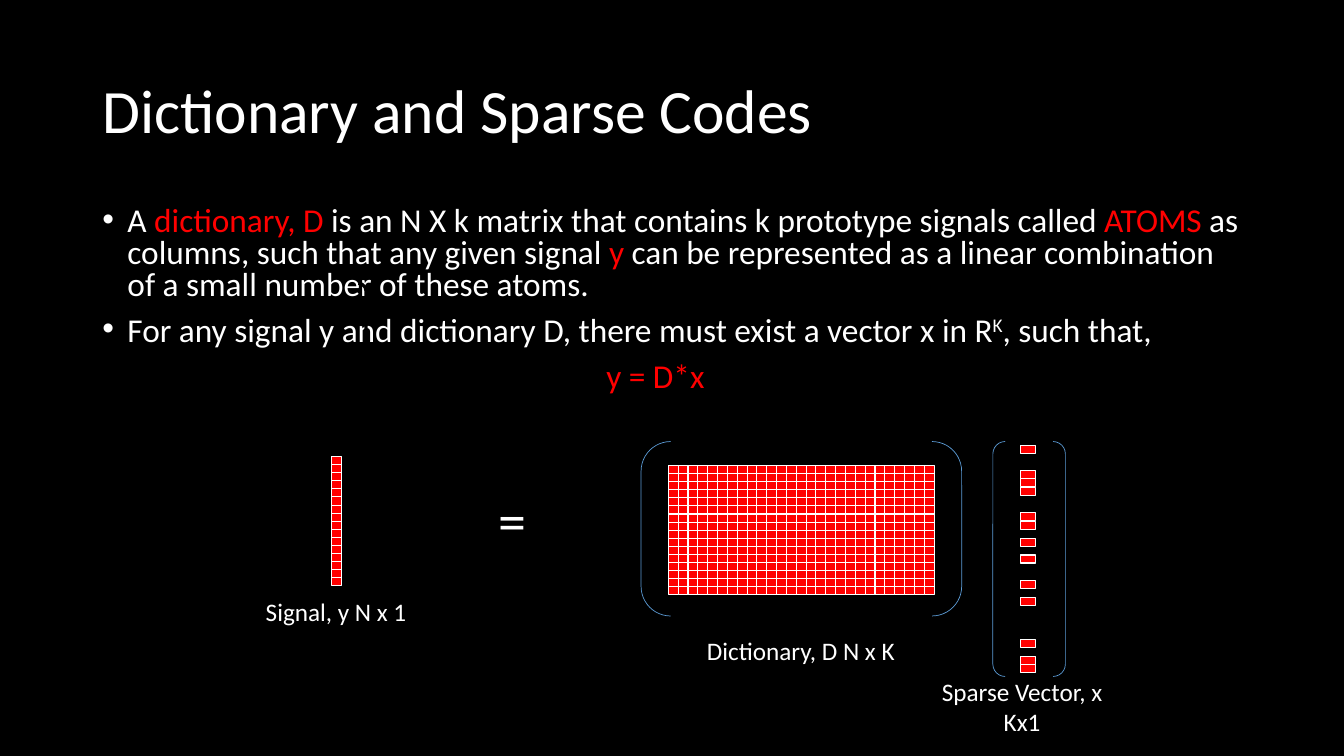
from lxml import etree
from pptx import Presentation
from pptx.dml.color import RGBColor
from pptx.enum.shapes import MSO_CONNECTOR, MSO_SHAPE
from pptx.enum.text import MSO_ANCHOR, MSO_AUTO_SIZE, PP_ALIGN
from pptx.oxml.ns import qn
from pptx.util import Pt

STRAIGHT = MSO_CONNECTOR.STRAIGHT
RECTANGLE, BRACKETS = MSO_SHAPE.RECTANGLE, MSO_SHAPE.DOUBLE_BRACKET
TOP, MIDDLE = MSO_ANCHOR.TOP, MSO_ANCHOR.MIDDLE
LEFT, CENTER = PP_ALIGN.LEFT, PP_ALIGN.CENTER
GROW, FIXED = MSO_AUTO_SIZE.SHAPE_TO_FIT_TEXT, MSO_AUTO_SIZE.NONE

COLORS = {"black": "000000", "white": "FFFFFF", "red": "FF0000", "blue": "5B9BD5"}
FONT = "Calibri"

SIGNAL_LENGTH = 16
ATOM_COUNT = 27
CELL_WIDTH, CELL_HEIGHT = 7.03, 5.76
SPARSE_WIDTH, SPARSE_PITCH = 10.8, 6.04
NONZERO_ROWS = (0, 3, 4, 5, 8, 9, 11, 13, 16, 18, 23, 25, 26)

# Each paragraph: left margin, bulleted, runs of (text, color, raised)
BODY = [
    (18, True, [
        ("A ", "white", False),
        ("dictionary, D", "red", False),
        (" is an N X k matrix that contains k prototype signals called ", "white", False),
        ("ATOMS", "red", False),
        (" as columns, such that any given signal ", "white", False),
        ("y", "red", False),
        (" can be represented as a linear combination of a small number of these atoms.",
         "white", False),
    ]),
    (18, True, [
        ("For any signal y and dictionary D, there must exist a vector x in R", "white", False),
        ("K", "white", True),
        (", such that,", "white", False),
    ]),
    (360, False, [("y = D*x", "red", False)]),
]


def rgb(name):
    return RGBColor.from_string(COLORS[name])


def set_indent(para, margin, bulleted):
    props = para._p.get_or_add_pPr()
    props.set("marL", str(Pt(margin)))
    props.set("indent", str(Pt(-margin if bulleted else 0)))
    if bulleted:
        etree.SubElement(props, qn("a:buFont")).set("typeface", "Arial")
        etree.SubElement(props, qn("a:buChar")).set("char", "•")


def add_text(shapes, content, left, top, width, height, size,
             align=LEFT, anchor=TOP, line_spacing=None, space_before=0, fit=GROW):
    """Add a text box; content is a string or a list of paragraphs like BODY."""
    box = shapes.add_textbox(Pt(left), Pt(top), Pt(width), Pt(height))
    frame = box.text_frame
    frame.word_wrap = True
    frame.auto_size = fit
    frame.vertical_anchor = anchor
    if isinstance(content, str):
        content = [(0, False, [(content, "white", False)])]
    for index, (margin, bulleted, spans) in enumerate(content):
        para = frame.add_paragraph() if index else frame.paragraphs[0]
        para.alignment = align
        para.space_before = Pt(space_before)
        if line_spacing:
            para.line_spacing = line_spacing
        set_indent(para, margin, bulleted)
        for text, color, raised in spans:
            span = para.add_run()
            span.text = text
            span.font.name = FONT
            span.font.size = Pt(size)
            span.font.color.rgb = rgb(color)
            if raised:
                span._r.get_or_add_rPr().set("baseline", "30000")


def add_cell(shapes, left, top, width, height):
    cell = shapes.add_shape(RECTANGLE, Pt(left), Pt(top), Pt(width), Pt(height))
    cell.shadow.inherit = False
    cell.fill.solid()
    cell.fill.fore_color.rgb = rgb("red")
    cell.line.color.rgb = rgb("white")
    cell.line.width = Pt(0.75)


def add_row_line(shapes, left, right, y):
    line = shapes.add_connector(STRAIGHT, Pt(left), Pt(y), Pt(right), Pt(y))
    line.line.color.rgb = rgb("white")
    line.line.width = Pt(0.75)
    etree.SubElement(line._element.spPr, qn("a:effectLst"))


def add_matrix(shapes, left, top, columns):
    """Draw red columns ruled into SIGNAL_LENGTH rows."""
    for column in range(columns):
        add_cell(shapes, left + column * CELL_WIDTH, top,
                 CELL_WIDTH, SIGNAL_LENGTH * CELL_HEIGHT)
    for row in range(1, SIGNAL_LENGTH):
        add_row_line(shapes, left, left + columns * CELL_WIDTH, top + row * CELL_HEIGHT)


def add_sparse_vector(shapes, left, top):
    for row in NONZERO_ROWS:
        add_cell(shapes, left, top + row * SPARSE_PITCH, SPARSE_WIDTH, CELL_HEIGHT)


def add_brackets(shapes, left, top, width, height, color="blue", weight=0.5, curve=0.17):
    brackets = shapes.add_shape(BRACKETS, Pt(left), Pt(top), Pt(width), Pt(height))
    brackets.shadow.inherit = False
    brackets.adjustments[0] = curve
    brackets.fill.background()
    brackets.line.color.rgb = rgb(color)
    brackets.line.width = Pt(weight)


def main():
    deck = Presentation()
    deck.slide_width, deck.slide_height = Pt(960), Pt(540)
    page = deck.slides.add_slide(deck.slide_layouts[6])
    page.background.fill.solid()
    page.background.fill.fore_color.rgb = rgb("black")

    add_text(page.shapes, "Dictionary and Sparse Codes", 66, 28.8, 828, 104.4, 44,
             anchor=MIDDLE, line_spacing=0.9, fit=FIXED)
    add_text(page.shapes, BODY, 66, 144, 828, 143.3, 23.8,
             line_spacing=0.8, space_before=10, fit=FIXED)
    add_brackets(page.shapes, 61.2, 202.3, 200.2, 107.3, "black", 2.25, 0.05)

    equation = page.shapes.add_group_shape().shapes
    add_matrix(equation, 477.4, 332.6, ATOM_COUNT)
    add_brackets(equation, 457.9, 315.4, 229, 124.6)
    add_sparse_vector(equation, 729, 317.9)
    add_brackets(equation, 709.2, 315.4, 51.8, 167.8)
    add_matrix(equation, 236.9, 326.2, 1)
    for label, left, top, width, height, size in (
        ("Dictionary, D N x K", 477.4, 450, 189.4, 29.5, 18),
        ("Sparse Vector, x Kx1", 651.6, 479.5, 157, 51.1, 18),
        ("Signal, y N x 1", 145.4, 422.6, 189.4, 29.5, 18),
        ("=", 337, 343.4, 57.6, 48.2, 40),
    ):
        add_text(equation, label, left, top, width, height, size, align=CENTER)

    deck.save("out.pptx")


if __name__ == "__main__":
    main()
